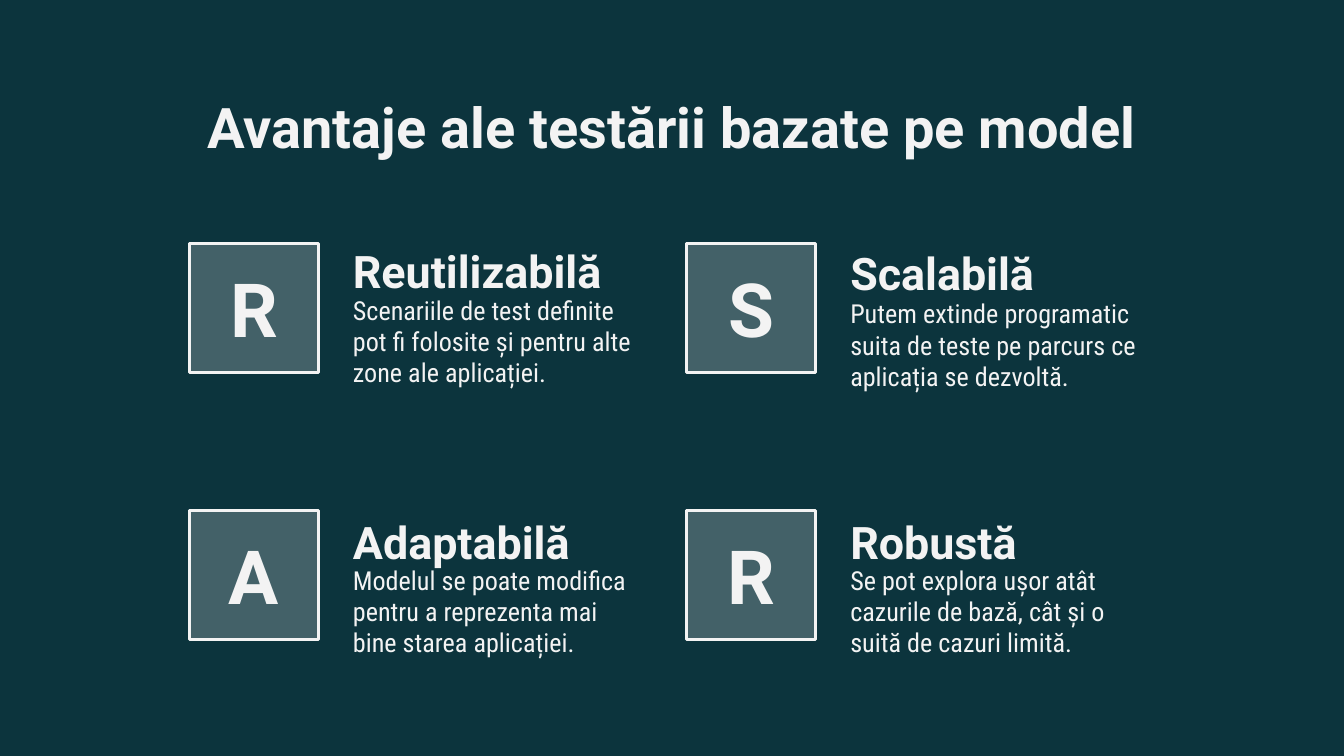
from dataclasses import dataclass

from pptx import Presentation
from pptx.dml.color import RGBColor
from pptx.enum import shapes, text
from pptx.oxml.ns import qn
from pptx.util import Cm, Pt
from lxml import etree

DARK, LIGHT = "0C343D", "F3F3F3"
LEFT, TOP = 3.58, 4.6
STEP_X, STEP_Y = 9.4, 5.05
SIDE, INDENT, WIDTH = 2.44, 2.84, 6.0


@dataclass
class Trait:
    name: str
    body: str
    head_top: float
    body_top: float


TRAITS = [
    Trait("Reutilizabilă", "Scenariile de test definite pot fi folosite și pentru alte "
          "zone ale aplicației.", 4.6, 5.31),
    Trait("Scalabilă", "Putem extinde programatic suita de teste pe parcurs ce "
          "aplicația se dezvoltă.", 4.65, 5.38),
    Trait("Adaptabilă", "Modelul se poate modifica pentru a reprezenta mai bine "
          "starea aplicației.", 9.73, 10.41),
    Trait("Robustă", "Se pot explora ușor atât cazurile de bază, cât și o suită "
          "de cazuri limită.", 9.73, 10.41),
]


def paint(color, code: str) -> None:
    """Set a colour from a hex string."""
    color.rgb = RGBColor.from_string(code)


def write(shape, words: str, size: float, anchor, align, font: str = "Roboto",
          bold: bool = True) -> None:
    """Put formatted text into a shape."""
    frame = shape.text_frame
    frame.text = words
    frame.word_wrap = True
    frame.auto_size = text.MSO_AUTO_SIZE.NONE
    frame.vertical_anchor = anchor
    frame.margin_left = frame.margin_right = Cm(0.25)
    frame.margin_top = frame.margin_bottom = Cm(0.25)
    para = frame.paragraphs[0]
    para.alignment = align
    style = para.runs[0].font
    style.name, style.size, style.bold = font, Pt(size), bold
    paint(style.color, LIGHT)


def add_badge(slide, letter: str, left: float, top: float) -> None:
    """Draw a translucent square with an initial."""
    badge = slide.shapes.add_shape(shapes.MSO_SHAPE.ROUNDED_RECTANGLE,
                                   Cm(left), Cm(top), Cm(SIDE), Cm(SIDE))
    badge.adjustments[0] = 0
    badge.shadow.inherit = False
    badge.fill.solid()
    paint(badge.fill.fore_color, LIGHT)
    tint = badge.fill._xPr.find(qn("a:solidFill"))[0]
    etree.SubElement(tint, qn("a:alpha")).set("val", "24000")
    paint(badge.line.color, LIGHT)
    badge.line.width = Pt(1.5)
    write(badge, letter, 40, text.MSO_ANCHOR.MIDDLE, text.PP_ALIGN.CENTER)


def add_trait(slide, trait: Trait, left: float, top: float) -> None:
    """Draw one advantage with its badge, heading and body."""
    add_badge(slide, trait.name[0], left, top)
    head = slide.shapes.add_textbox(Cm(left + INDENT), Cm(trait.head_top),
                                    Cm(WIDTH), Cm(1.27))
    write(head, trait.name, 24, text.MSO_ANCHOR.BOTTOM, text.PP_ALIGN.LEFT)
    body = slide.shapes.add_textbox(Cm(left + INDENT), Cm(trait.body_top),
                                    Cm(WIDTH), Cm(2.06))
    write(body, trait.body, 14, text.MSO_ANCHOR.TOP, text.PP_ALIGN.LEFT,
          "Roboto Condensed", False)


def main() -> None:
    """Build the slide and save it."""
    deck = Presentation()
    deck.slide_width, deck.slide_height = Cm(25.4), Cm(14.29)
    slide = deck.slides.add_slide(deck.slide_layouts[5])
    slide.background.fill.solid()
    paint(slide.background.fill.fore_color, DARK)
    title = slide.shapes.title
    title.left, title.top, title.width, title.height = Cm(2), Cm(1.5), Cm(21.4), Cm(1.6)
    write(title, "Avantaje ale testării bazate pe model", 30,
          text.MSO_ANCHOR.TOP, text.PP_ALIGN.CENTER)
    for index, trait in enumerate(TRAITS):
        row, col = divmod(index, 2)
        add_trait(slide, trait, LEFT + col * STEP_X, TOP + row * STEP_Y)
    deck.save("out.pptx")


if __name__ == "__main__":
    main()
